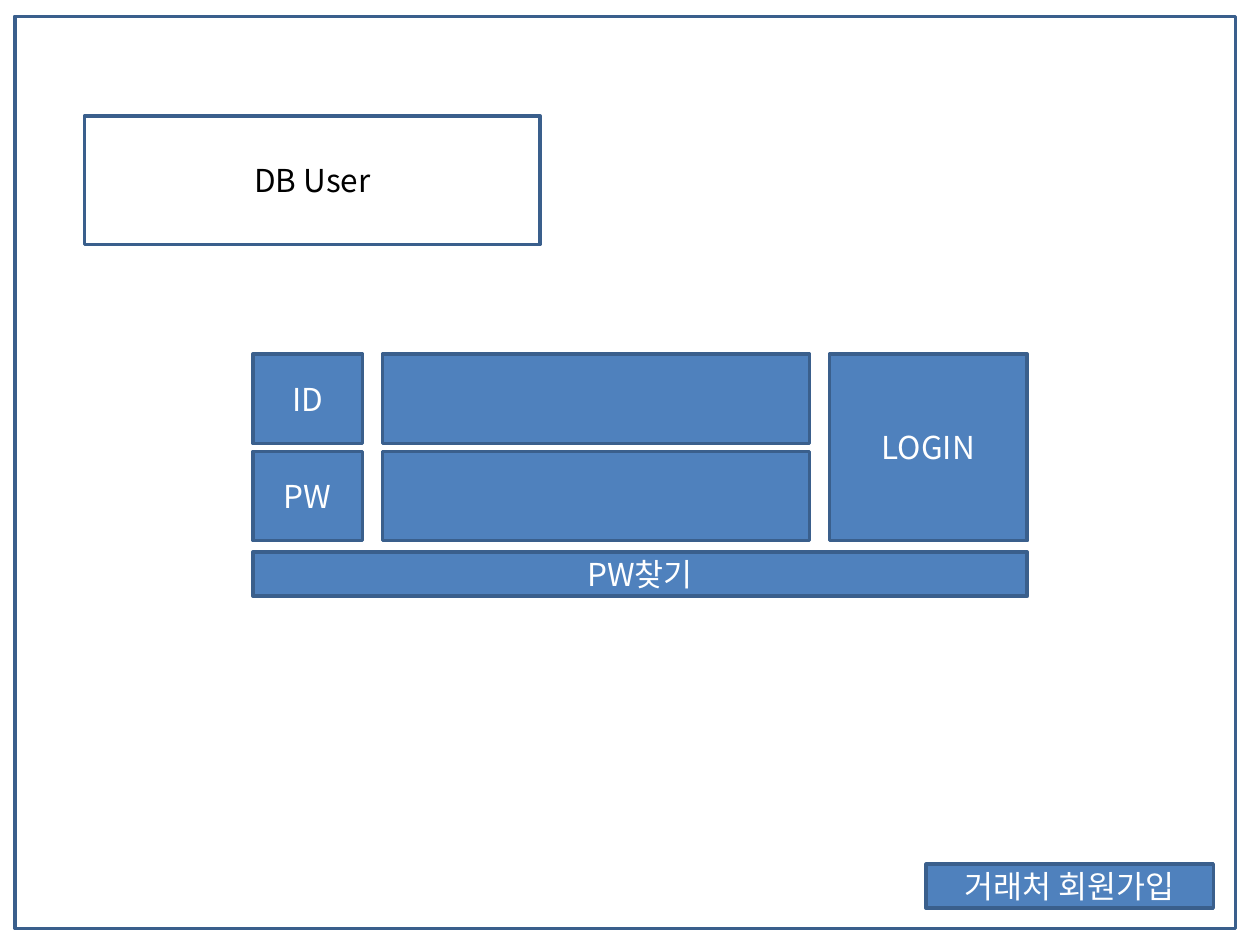
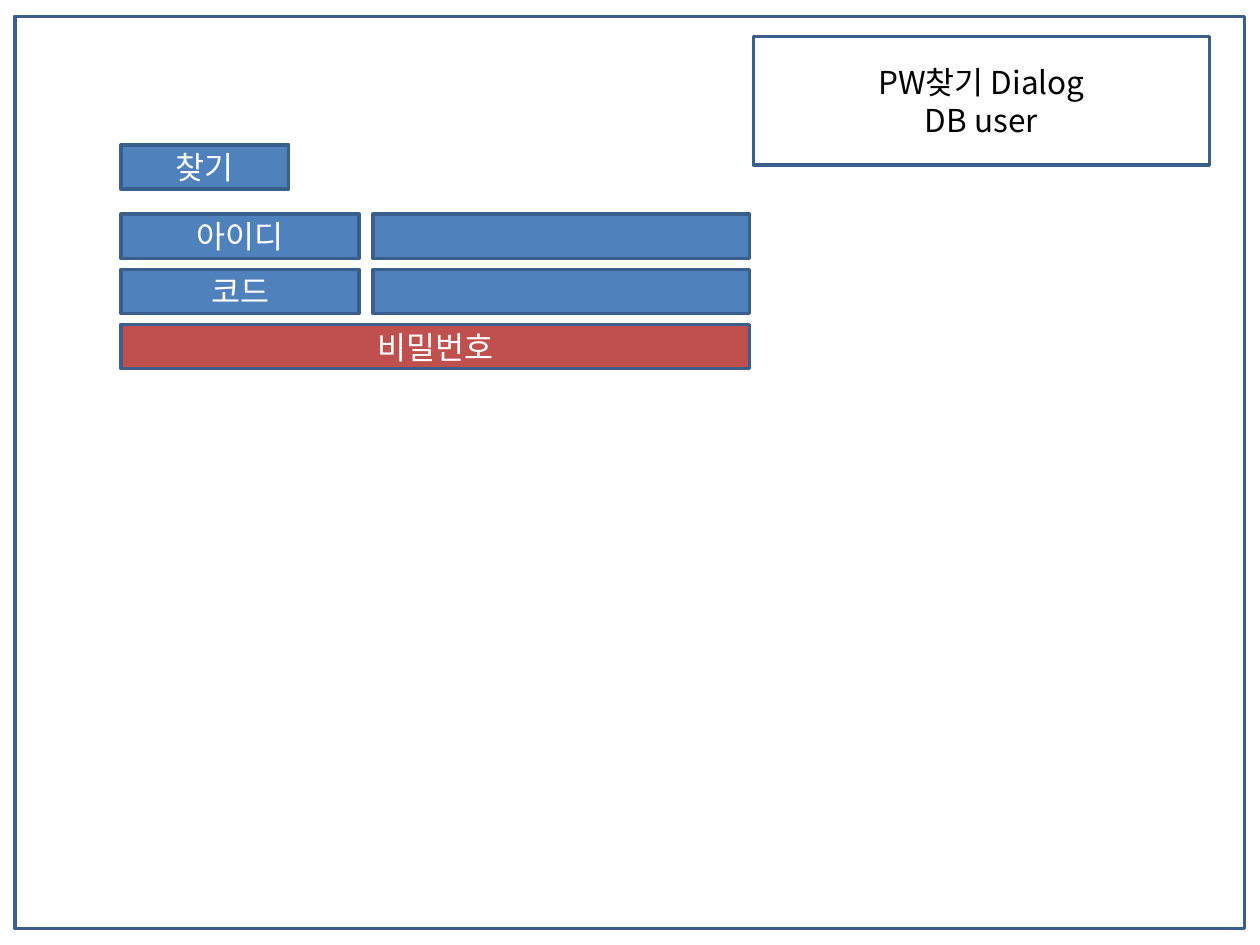
from pptx import Presentation
from pptx import util as u
from pptx.dml.color import RGBColor
from pptx.enum import shapes, text
from pptx.oxml.ns import qn
from lxml import etree

# Content
LOGIN = {
    "caption": ["DB User"],
    "labels": ["ID", "PW"],
    "submit": "LOGIN",
    "find": "PW찾기",
    "join": "거래처 회원가입",
}
FINDER = {
    "caption": ["PW찾기 Dialog", "DB user"],
    "find": "찾기",
    "labels": ["아이디", "코드"],
    "result": "비밀번호",
}

# Shared look
COLORS = {"button": "4F81BD", "result": "C0504D", "edge": "3A5F8C",
          "light": "FFFFFF", "dark": "000000"}
FONT = "Noto Sans CJK KR"
FORMAT = {"name": FONT, "size": u.Pt(18)}
BAR_H = 0.89
CAPTION_W, CAPTION_H = 9.19, 2.59
FRAME_LEFT, FRAME_TOP, FRAME_H = 0.3, 0.33, 18.39


def box(slide, left, top, width, height, lines=(), fill="button", ink="light"):
    """Outlined rectangle with centred lines; sizes in centimetres."""
    rect = slide.shapes.add_shape(
        shapes.MSO_SHAPE.RECTANGLE,
        u.Cm(left), u.Cm(top), u.Cm(width), u.Cm(height))
    rect.shadow.inherit = False
    if fill:
        rect.fill.solid()
        rect.fill.fore_color.rgb = RGBColor.from_string(COLORS[fill])
    else:
        rect.fill.background()
    rect.line.color.rgb = RGBColor.from_string(COLORS["edge"])
    rect.line.width = u.Pt(2)
    frame = rect.text_frame
    frame.word_wrap = True
    frame.vertical_anchor = text.MSO_ANCHOR.MIDDLE
    for index, line in enumerate(lines):
        paragraph = frame.add_paragraph() if index else frame.paragraphs[0]
        paragraph.alignment = text.PP_ALIGN.CENTER
        run = paragraph.add_run()
        run.text = line
        for key, value in FORMAT.items():
            setattr(run.font, key, value)
        run.font.color.rgb = RGBColor.from_string(COLORS[ink])
        # Korean glyphs take the East Asian typeface
        east_asian = etree.SubElement(run.font._element, qn("a:ea"))
        east_asian.set("typeface", FONT)


def screen(frame_width):
    slide = deck.slides.add_slide(deck.slide_layouts[6])
    box(slide, FRAME_LEFT, FRAME_TOP, frame_width, FRAME_H, fill=None)
    return slide


def caption(slide, left, top, lines):
    box(slide, left, top, CAPTION_W, CAPTION_H, lines, fill=None, ink="dark")


def form(slide, labels, left, top, label_w, field_w, row_h, gap_x, gap_y):
    """Label and input rows; returns the right edge and the next row's top."""
    field_left = left + label_w + gap_x
    for row, label in enumerate(labels):
        row_top = top + row * (row_h + gap_y)
        box(slide, left, row_top, label_w, row_h, [label])
        box(slide, field_left, row_top, field_w, row_h)
    return field_left + field_w, top + len(labels) * (row_h + gap_y)


deck = Presentation()
deck.slide_width, deck.slide_height = u.Cm(25.4), u.Cm(19.05)

# Login screen
login = screen(24.61)
form_left, form_top, gap_x, gap_y = 5.1, 7.14, 0.4, 0.16
right, next_top = form(login, LOGIN["labels"], form_left, form_top,
                       2.21, 8.61, 1.8, gap_x, gap_y)
submit_left, submit_w = right + gap_x, 3.99
box(login, submit_left, form_top, submit_w, next_top - gap_y - form_top,
    [LOGIN["submit"]])
box(login, form_left, next_top + 0.07, submit_left + submit_w - form_left,
    BAR_H, [LOGIN["find"]])
box(login, 18.67, 17.42, 5.79, BAR_H, [LOGIN["join"]])
caption(login, 1.7, 2.34, LOGIN["caption"])

# Password finder dialog
finder = screen(24.79)
form_left, form_top = 2.44, 4.32
box(finder, form_left, 2.92, 3.38, BAR_H, [FINDER["find"]])
right, next_top = form(finder, FINDER["labels"], form_left, form_top,
                       4.8, 7.59, BAR_H, 0.28, 0.22)
box(finder, form_left, next_top, right - form_left, BAR_H,
    [FINDER["result"]], fill="result")
caption(finder, 15.19, 0.74, FINDER["caption"])

deck.save("out.pptx")
